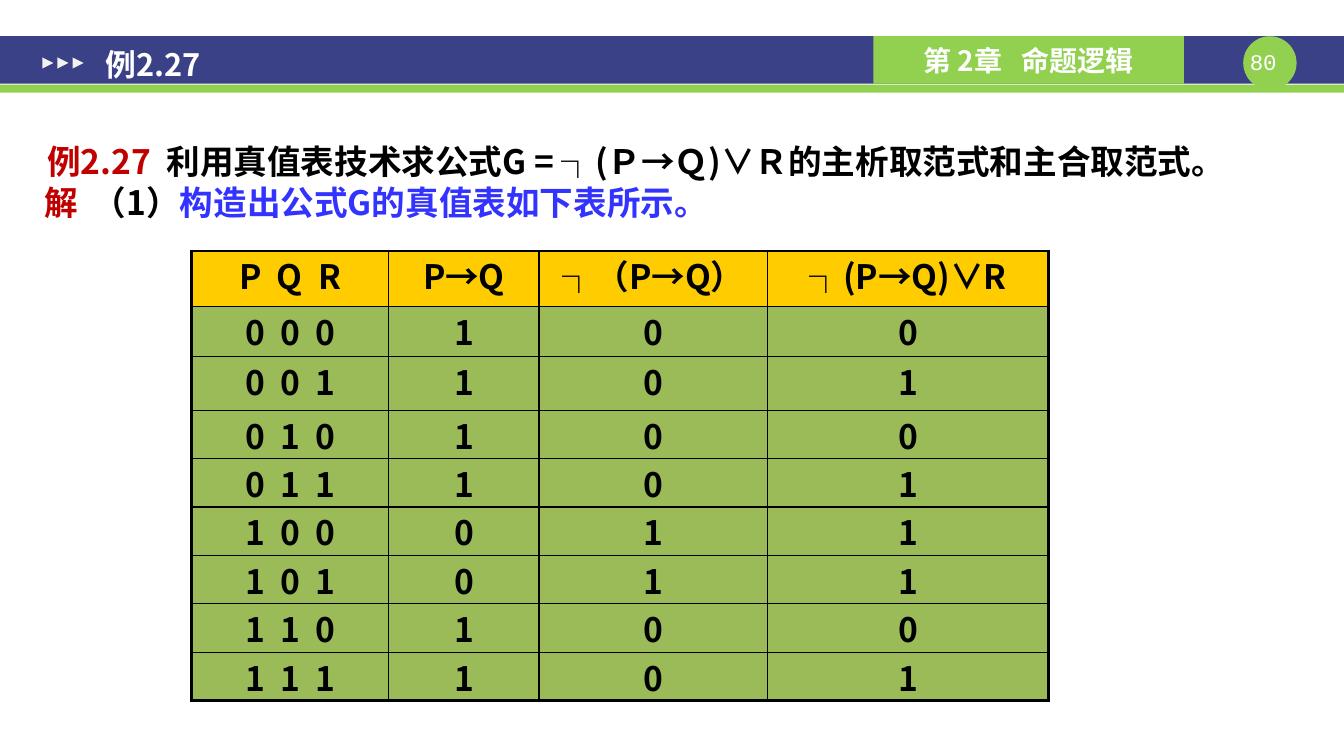
from dataclasses import dataclass
from itertools import product

from lxml.etree import SubElement
from pptx import Presentation
from pptx.dml.color import RGBColor
from pptx.enum.shapes import MSO_SHAPE
from pptx.enum.text import MSO_ANCHOR, PP_ALIGN
from pptx.oxml.ns import qn
from pptx.util import Inches, Pt


@dataclass(frozen=True)
class Theme:
    navy: str = "3A4187"
    green: str = "92D050"
    arrow: str = "F2F2F2"
    white: str = "FFFFFF"
    black: str = "000000"
    red: str = "C00000"
    blue: str = "3333FF"
    header: str = "FFCC00"
    cell: str = "9BBB59"
    font: str = "Noto Sans CJK SC"
    number_font: str = "Courier New"
    body_size: int = 24
    title_size: int = 22
    chapter_size: int = 20
    number_size: int = 16
    thin: float = 1
    thick: float = 2.25


theme = Theme()


def write(frame, spans, size=theme.body_size, font=theme.font, bold=True,
          align=PP_ALIGN.LEFT, anchor=MSO_ANCHOR.TOP, margins=(0.1, 0.05), spacing=1.0):
    """Fill a text frame with one paragraph of (text, colour) spans."""
    across, down = map(Inches, margins)
    layout = {"word_wrap": True, "vertical_anchor": anchor,
              "margin_left": across, "margin_right": across,
              "margin_top": down, "margin_bottom": down}
    for name, value in layout.items():
        setattr(frame, name, value)
    para = frame.paragraphs[0]
    para.alignment = align
    para.line_spacing = spacing
    for text, color in spans:
        span = para.add_run()
        span.text = text
        for name, value in {"size": Pt(size), "bold": bold, "name": font}.items():
            setattr(span.font, name, value)
        span.font.color.rgb = RGBColor.from_string(color)
        SubElement(span.font._element, qn("a:ea"), typeface=font)


def add_filled(kind, left, top, width, height, color):
    shape = page.shapes.add_shape(kind, *map(Inches, (left, top, width, height)))
    shape.shadow.inherit = False
    shape.fill.solid()
    shape.fill.fore_color.rgb = RGBColor.from_string(color)
    shape.line.fill.background()
    return shape


deck = Presentation()
deck.slide_width, deck.slide_height = Inches(13.34), Inches(7.5)
page = deck.slides.add_slide(deck.slide_layouts[6])

# Header band
add_filled(MSO_SHAPE.RECTANGLE, 0, 0.36, 13.34, 0.47, theme.navy)
add_filled(MSO_SHAPE.RECTANGLE, 0, 0.84, 13.34, 0.08, theme.green)
add_filled(MSO_SHAPE.OVAL, 12.34, 0.36, 0.53, 0.53, theme.green)
chapter = add_filled(MSO_SHAPE.RECTANGLE, 8.67, 0.36, 3.08, 0.47, theme.green)
write(chapter.text_frame, [("第 2章   命题逻辑", theme.white)], size=theme.chapter_size,
      align=PP_ALIGN.CENTER, anchor=MSO_ANCHOR.MIDDLE)
for step in range(3):
    arrow = add_filled(MSO_SHAPE.ISOSCELES_TRIANGLE, 0.42 + 0.15 * step, 0.57, 0.11, 0.11,
                       theme.arrow)
    arrow.rotation = 90

# Text boxes: place, spans, format
texts = [
    ((12.34, 0.48, 0.53, 0.27), [("80 ", theme.white)],
     {"size": theme.number_size, "font": theme.number_font, "bold": False,
      "align": PP_ALIGN.CENTER, "margins": (0, 0)}),
    ((0.92, 0.29, 7.7, 0.69), [("例2.27", theme.white)],
     {"size": theme.title_size, "anchor": MSO_ANCHOR.MIDDLE, "margins": (0.13, 0.07)}),
    ((0.34, 1.13, 12.66, 1.22),
     [("例2.27  ", theme.red),
      ("利用真值表技术求公式G = ┐(Ｐ→Ｑ)∨Ｒ的主析取范式和主合取范式。", theme.black)],
     {"margins": (0.13, 0.07), "spacing": 1.5}),
    ((0.34, 1.76, 10.33, 0.5),
     [("解  ", theme.red), ("（1）", theme.black),
      ("构造出公式G的真值表如下表所示。", theme.blue)],
     {"align": PP_ALIGN.JUSTIFY}),
]
for place, spans, style in texts:
    box = page.shapes.add_textbox(*map(Inches, place))
    write(box.text_frame, spans, **style)

# Truth table
rows = [["P  Q  R", "P→Q", "┐（P→Q）", "┐(P→Q)∨R"]]
for p, q, r in product((0, 1), repeat=3):
    implies = int(not p or q)
    negated = 1 - implies
    rows.append([f"{p}  {q}  {r}", str(implies), str(negated), str(negated | r)])
widths = [1.96, 1.49, 2.27, 2.79]
heights = [0.55, 0.5, 0.53] + [0.48] * 6

table = page.shapes.add_table(len(rows), len(widths), Inches(1.9), Inches(2.49),
                              Inches(sum(widths)), Inches(sum(heights))).table
table.first_row = table.horz_banding = False
for column, width in zip(table.columns, widths):
    column.width = Inches(width)
for row, height in zip(table.rows, heights):
    row.height = Inches(height)

for i, values in enumerate(rows):
    for j, value in enumerate(values):
        cell = table.cell(i, j)
        write(cell.text_frame, [(value, theme.black)], align=PP_ALIGN.CENTER, margins=(0, 0))
        cell.margin_left = cell.margin_right = cell.margin_top = cell.margin_bottom = 0
        outer_edges = {"lnL": j == 0, "lnR": j == len(widths) - 1,
                       "lnT": i == 0, "lnB": i == len(rows) - 1}
        for edge, outer in outer_edges.items():
            weight = theme.thick if outer else theme.thin
            line = SubElement(cell._tc.get_or_add_tcPr(), qn(f"a:{edge}"), w=str(Pt(weight)))
            fill = SubElement(line, qn("a:solidFill"))
            SubElement(fill, qn("a:srgbClr"), val=theme.black)
        cell.fill.solid()
        cell.fill.fore_color.rgb = RGBColor.from_string(theme.cell if i else theme.header)

deck.save("out.pptx")
